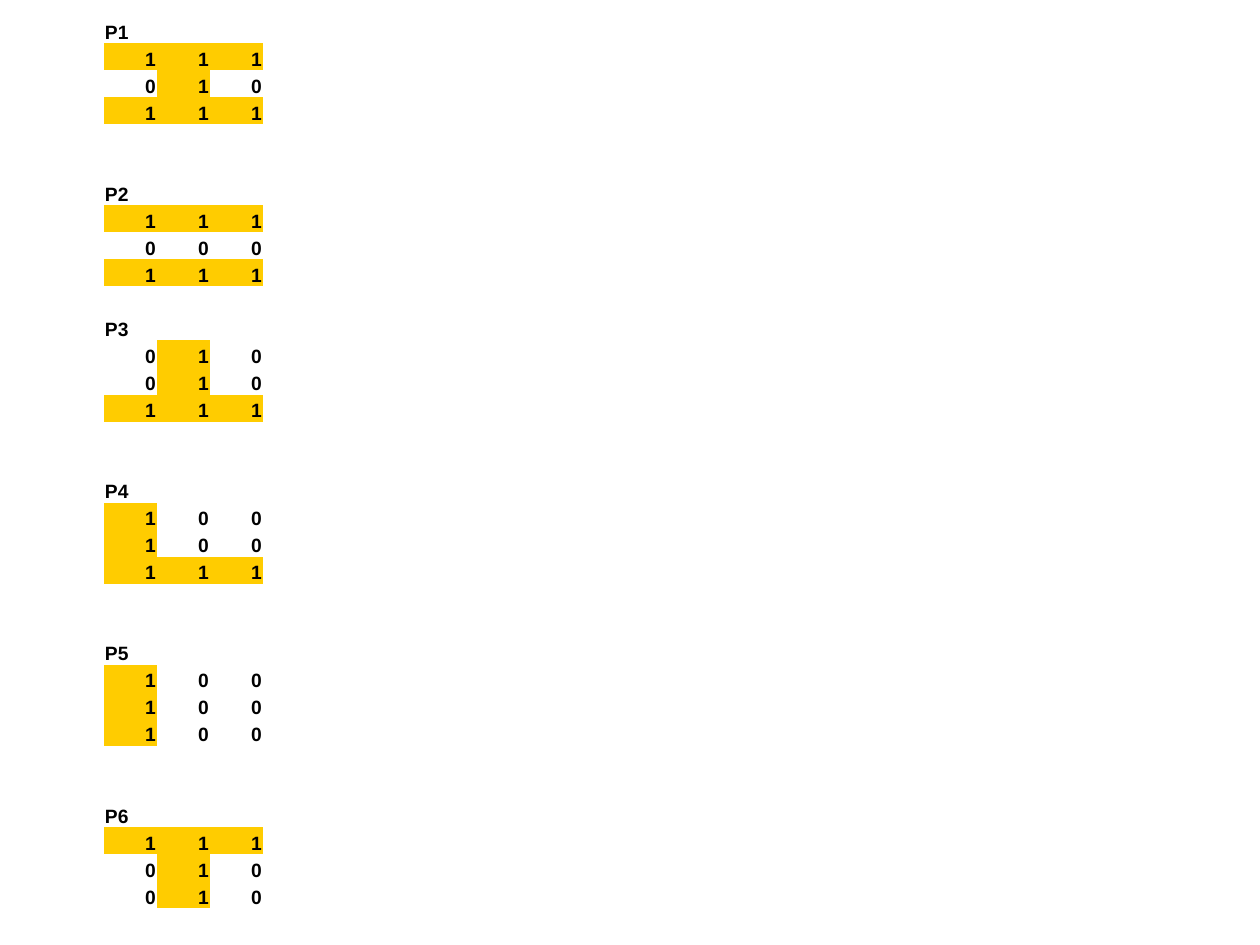
from pptx import Presentation
from pptx.dml.color import RGBColor
from pptx.enum.text import MSO_ANCHOR, PP_ALIGN
from pptx.oxml.ns import qn
from pptx.util import Pt

PX = 914400 // 126  # EMU per px
THEME = {
    "font": "Arial",
    "size": Pt(11),
    "text": RGBColor(0x00, 0x00, 0x00),
    "on": RGBColor(0xFF, 0xCC, 0x00),
}
NO_STYLE_NO_GRID = "{2D5ABB26-0587-4C30-8999-92F81FD0307C}"

# Each pattern: name, three rows of bits, blank rows after it
PATTERNS = [
    ("P1", ["111", "010", "111"], 2),
    ("P2", ["111", "000", "111"], 1),
    ("P3", ["010", "010", "111"], 2),
    ("P4", ["100", "100", "111"], 2),
    ("P5", ["100", "100", "100"], 2),
    ("P6", ["111", "010", "010"], 0),
]
COLUMNS = 3

# Table rows, top to bottom
rows = []
for name, bits, gap in PATTERNS:
    rows.append([name, "", ""])
    rows.extend(list(line) for line in bits)
    rows.extend([""] * COLUMNS for _ in range(gap))

# Slide
presentation = Presentation()
presentation.slide_width = 1260 * PX
presentation.slide_height = 945 * PX
slide = presentation.slides.add_slide(presentation.slide_layouts[6])

# Table grid
width, height = 159 * PX, 893 * PX
shape = slide.shapes.add_table(len(rows), COLUMNS, 104 * PX, 16 * PX, width, height)
table = shape.table
table.first_row = False
table.horz_banding = False
table._tbl.tblPr.find(qn("a:tableStyleId")).text = NO_STYLE_NO_GRID
for column in table.columns:
    column.width = width // COLUMNS
for row in table.rows:
    row.height = height // len(rows)

# Cells: names on the left, bits on the right, ones highlighted
for row_index, values in enumerate(rows):
    for column_index, value in enumerate(values):
        cell = table.cell(row_index, column_index)
        cell.margin_left = cell.margin_right = cell.margin_top = PX
        cell.margin_bottom = 0
        cell.vertical_anchor = MSO_ANCHOR.BOTTOM
        if value == "1":
            cell.fill.solid()
            cell.fill.fore_color.rgb = THEME["on"]
        else:
            cell.fill.background()

        paragraph = cell.text_frame.paragraphs[0]
        if not value:
            # Keeps empty cells from stretching their row
            end = paragraph._p.get_or_add_endParaRPr()
            end.set("sz", str(int(THEME["size"].pt * 100)))
            continue
        if value.isdigit():
            paragraph.alignment = PP_ALIGN.RIGHT
        run = paragraph.add_run()
        run.text = value
        run.font.name = THEME["font"]
        run.font.size = THEME["size"]
        run.font.bold = True
        run.font.color.rgb = THEME["text"]

presentation.save("out.pptx")
